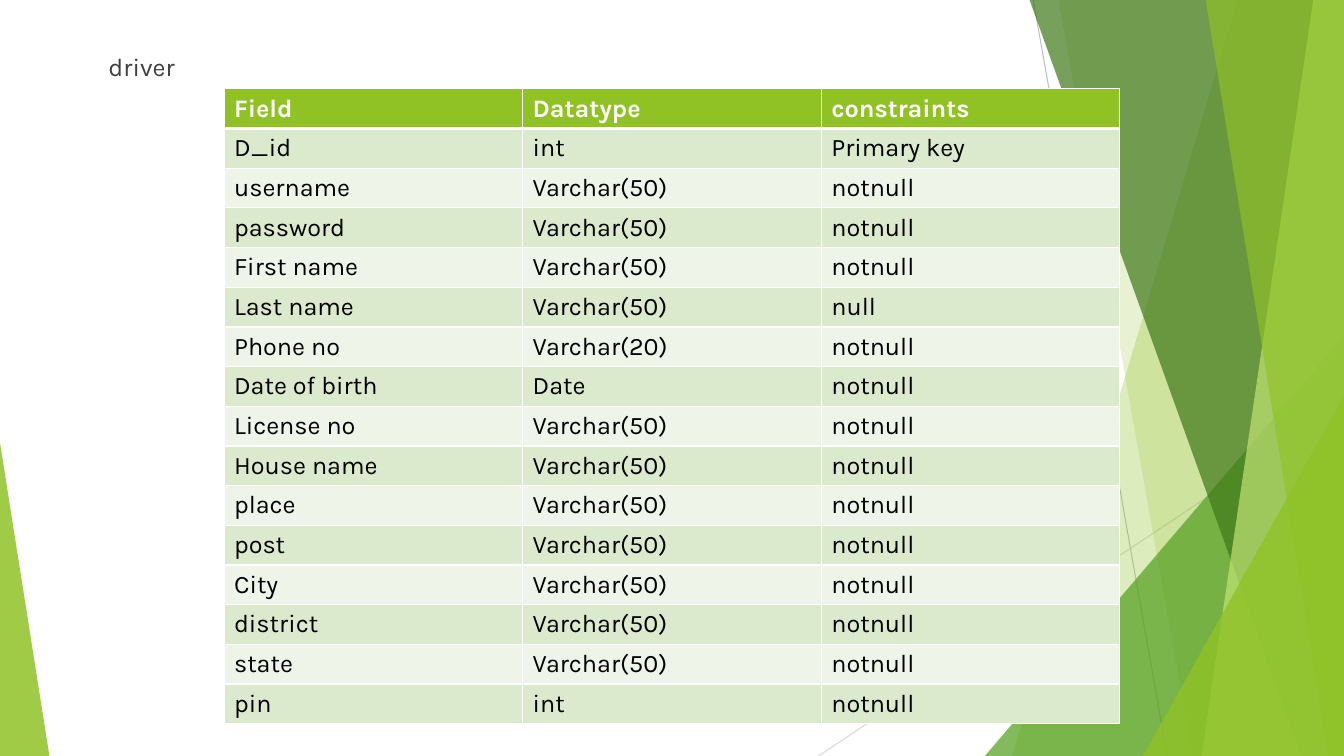
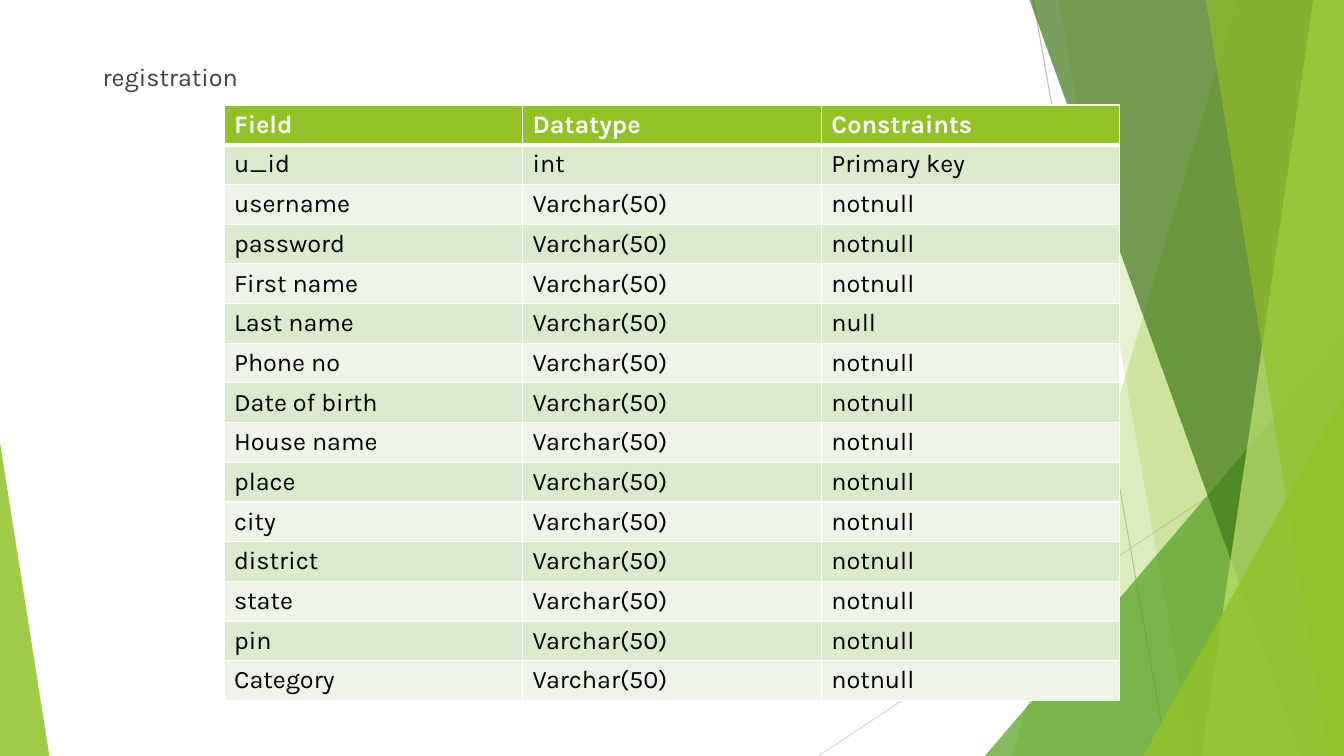
from lxml.etree import SubElement
from pptx import Presentation
from pptx.dml.color import RGBColor
from pptx.enum.shapes import MSO_CONNECTOR as Connector, MSO_SHAPE as Preset
from pptx.enum.text import MSO_ANCHOR as Anchor, MSO_AUTO_SIZE as AutoSize, PP_ALIGN as Align
from pptx.oxml.ns import qn
from pptx.util import Inches, Pt

WIDTH, HEIGHT = Inches(13.333), Inches(7.5)
TITLE_ONLY = 5
FONT, TEXT_SIZE = "Karla", 18
WHITE, BLACK, GREY = "FFFFFF", "000000", "404040"
LIME, GREEN, FOREST, PALE = "90C226", "54A021", "3F7819", "C0E474"
BANDS = ("DBE9CD", "EEF4E8")
ABOVE, TITLE_BOTTOM, ROW_SHARE = -0.13, 90.2, 5.2

RAYS = [(76.88, 0, 86.85, 100, "BFBFBF"), (100, 53.73, 60.9, 100, "D9D9D9")]
FACETS = [
    ("wedge", 92.1, 75.3, LIME, 30),
    ("wedge", 78.75, 88.73, LIME, 20),
    ("triangle", (73.28, 44.4, 26.72, 55.6), 1, GREEN, 72),
    ("wedge", 76.58, 96.83, FOREST, 70),
    ("wedge", 97.73, 89.4, PALE, 70),
    ("wedge", 89.7, 98.85, LIME, 65),
    ("triangle", (85.05, 52.4, 14.95, 47.6), 1, LIME, 80),
    ("triangle", (0, 58.53, 3.68, 41.47), 0, LIME, 85),
]

TEXT50, REQUIRED = "Varchar(50)", "notnull"
ACCOUNT = [("username", TEXT50, REQUIRED), ("password", TEXT50, REQUIRED)]
DRIVER = [
    ("Field ", "Datatype ", "constraints"),
    ("D_id", "int", "Primary key"),
    *ACCOUNT,
    ("First name", TEXT50, REQUIRED),
    ("Last name", TEXT50, "null"),
    ("Phone no", "Varchar(20)", REQUIRED),
    ("Date of birth", "Date", REQUIRED),
    *[(field, TEXT50, REQUIRED) for field in (
        "License no", "House name", "place", "post", "City", "district", "state")],
    ("pin", "int", REQUIRED),
]
REGISTRATION = [
    ("Field ", "Datatype ", "Constraints "),
    ("u_id", "int", "Primary key"),
    *ACCOUNT,
    ("First name ", TEXT50, REQUIRED),
    ("Last name", TEXT50, "null"),
    *[(field, TEXT50, REQUIRED) for field in (
        "Phone no", "Date of birth", "House name", "place", "city",
        "district", "state", "pin", "Category ")],
]


def colour(value):
    """Turn a hex string into a colour."""
    return RGBColor.from_string(value)


def across(share):
    """Convert a percentage of the slide width to a length."""
    return round(WIDTH * share / 100)


def down(share):
    """Convert a percentage of the slide height to a length."""
    return round(HEIGHT * share / 100)


def add_run(para, text, shade, bold=False):
    """Add one formatted run to a paragraph."""
    run = para.add_run()
    run.text = text
    run.font.name, run.font.size, run.font.bold = FONT, Pt(TEXT_SIZE), bold
    run.font.color.rgb = colour(shade)


def tint(shape, shade, opacity):
    """Give a shape a translucent fill without line or shadow."""
    shape.shadow.inherit = False
    shape.fill.solid()
    shape.fill.fore_color.rgb = colour(shade)
    shape.line.fill.background()
    solid = shape.element.spPr.find(qn("a:solidFill"))
    SubElement(solid[0], qn("a:alpha")).set("val", str(opacity * 1000))


def add_ray(page, left, top, right, bottom, shade):
    """Draw a thin straight line."""
    ray = page.shapes.add_connector(
        Connector.STRAIGHT, across(left), down(top), across(right), down(bottom))
    ray.line.color.rgb = colour(shade)
    ray.line.width = Pt(0.75)
    SubElement(ray.element.spPr, qn("a:effectLst"))
    return ray


def add_wedge(page, upper, lower, shade, opacity):
    """Draw a full-height facet between a slanted edge and the right side."""
    builder = page.shapes.build_freeform(across(upper), down(ABOVE))
    corners = [(100, ABOVE), (100, 100), (lower, 100)]
    builder.add_line_segments([(across(x), down(y)) for x, y in corners], close=True)
    wedge = builder.convert_to_shape()
    tint(wedge, shade, opacity)
    return wedge


def add_triangle(page, area, apex, shade, opacity):
    """Draw a triangle whose apex sits at a share of its width."""
    left, top, width, height = area
    triangle = page.shapes.add_shape(
        Preset.ISOSCELES_TRIANGLE, across(left), down(top), across(width), down(height))
    triangle.adjustments[0] = apex
    tint(triangle, shade, opacity)
    return triangle


def decorate_layout(page):
    """Draw the facets once and move them to the layout of the page."""
    makers = {"wedge": add_wedge, "triangle": add_triangle}
    shapes = [add_ray(page, *ray) for ray in RAYS]
    shapes += [makers[kind](page, *details) for kind, *details in FACETS]
    tree = page.slide_layout.shapes.element
    for number, shape in enumerate(shapes):
        shape.element.xpath(".//p:cNvPr")[0].set("id", str(100 + number))
        tree.insert(2 + number, shape.element)


def set_title(page, text, top):
    """Place and format the title of a page."""
    box = page.shapes.title
    box.left, box.top = across(6.88), down(top)
    box.width, box.height = across(86.25), down(TITLE_BOTTOM - top)
    frame = box.text_frame
    frame.word_wrap, frame.auto_size = True, AutoSize.NONE
    frame.vertical_anchor = Anchor.TOP
    para = frame.paragraphs[0]
    para.alignment, para.space_before = Align.LEFT, Pt(10)
    add_run(para, text, GREY)


def set_borders(cell, top, bottom):
    """Draw white borders around a cell, with widths in points."""
    properties = cell._tc.get_or_add_tcPr()
    for side, width in (("L", 1), ("R", 1), ("T", top), ("B", bottom)):
        line = SubElement(properties, qn("a:ln" + side), w=str(Pt(width)))
        solid = SubElement(line, qn("a:solidFill"))
        SubElement(solid, qn("a:srgbClr"), val=WHITE)


def add_field_table(page, rows, top):
    """Add a banded table of fields with a header row."""
    table = page.shapes.add_table(
        len(rows), len(rows[0]), across(100 / 6), down(top),
        across(200 / 3), down(ROW_SHARE * len(rows))).table
    table.horz_banding = False
    for index, values in enumerate(rows):
        header = index == 0
        for column, value in enumerate(values):
            cell = table.cell(index, column)
            set_borders(cell, 3 if index == 1 else 1, 3 if header else 1)
            cell.fill.solid()
            cell.fill.fore_color.rgb = colour(LIME if header else BANDS[(index - 1) % 2])
            add_run(cell.text_frame.paragraphs[0], value, WHITE if header else BLACK, header)


def main():
    """Build and save the deck."""
    deck = Presentation()
    deck.slide_width, deck.slide_height = WIDTH, HEIGHT
    layout = deck.slide_layouts[TITLE_ONLY]
    tables = [
        (" driver", 6.13, DRIVER, 11.75),
        ("registration", 7.47, REGISTRATION, 13.9),
    ]
    for number, (title, title_top, rows, table_top) in enumerate(tables):
        page = deck.slides.add_slide(layout)
        if number == 0:
            decorate_layout(page)
        set_title(page, title, title_top)
        add_field_table(page, rows, table_top)
    deck.save("out.pptx")


main()
